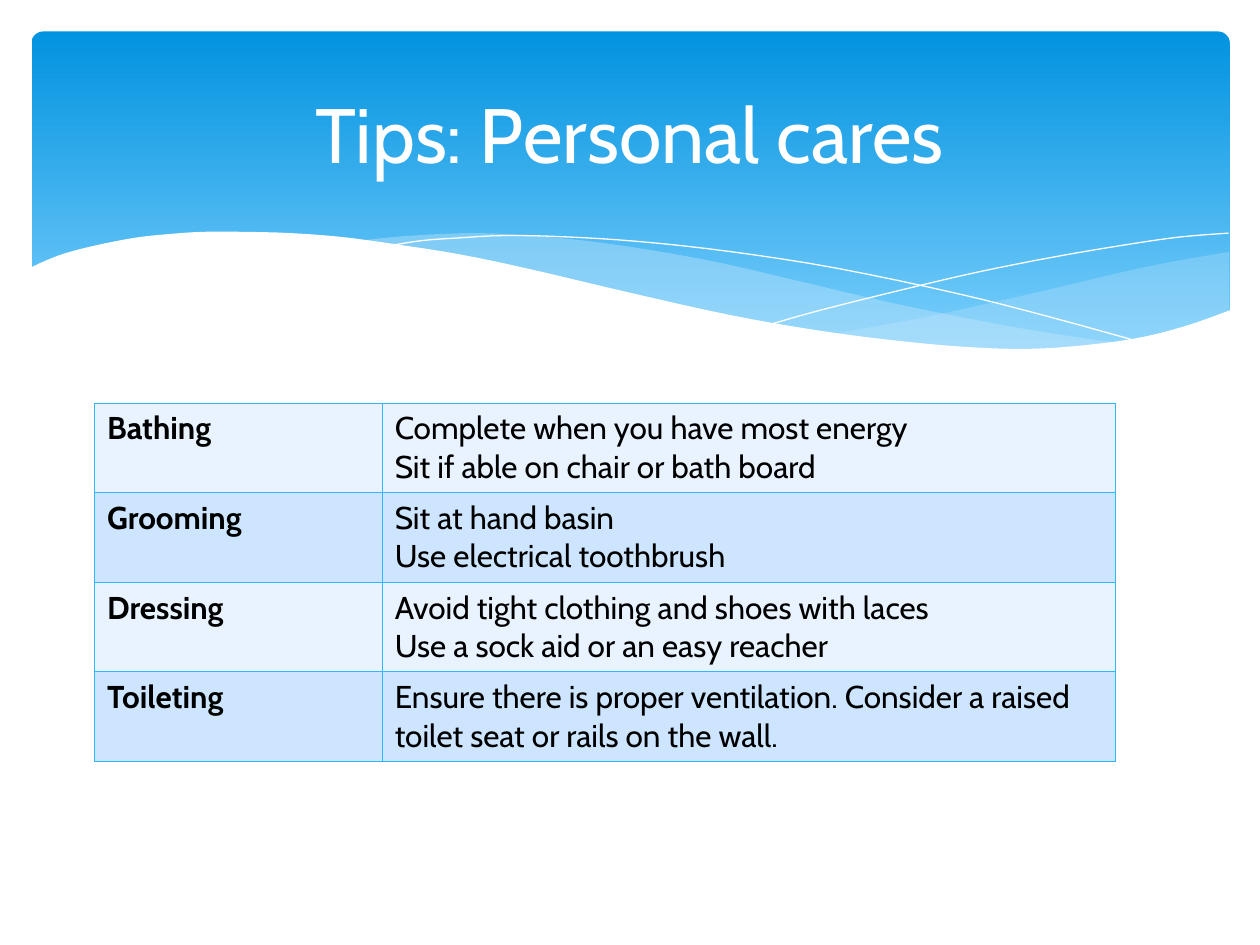
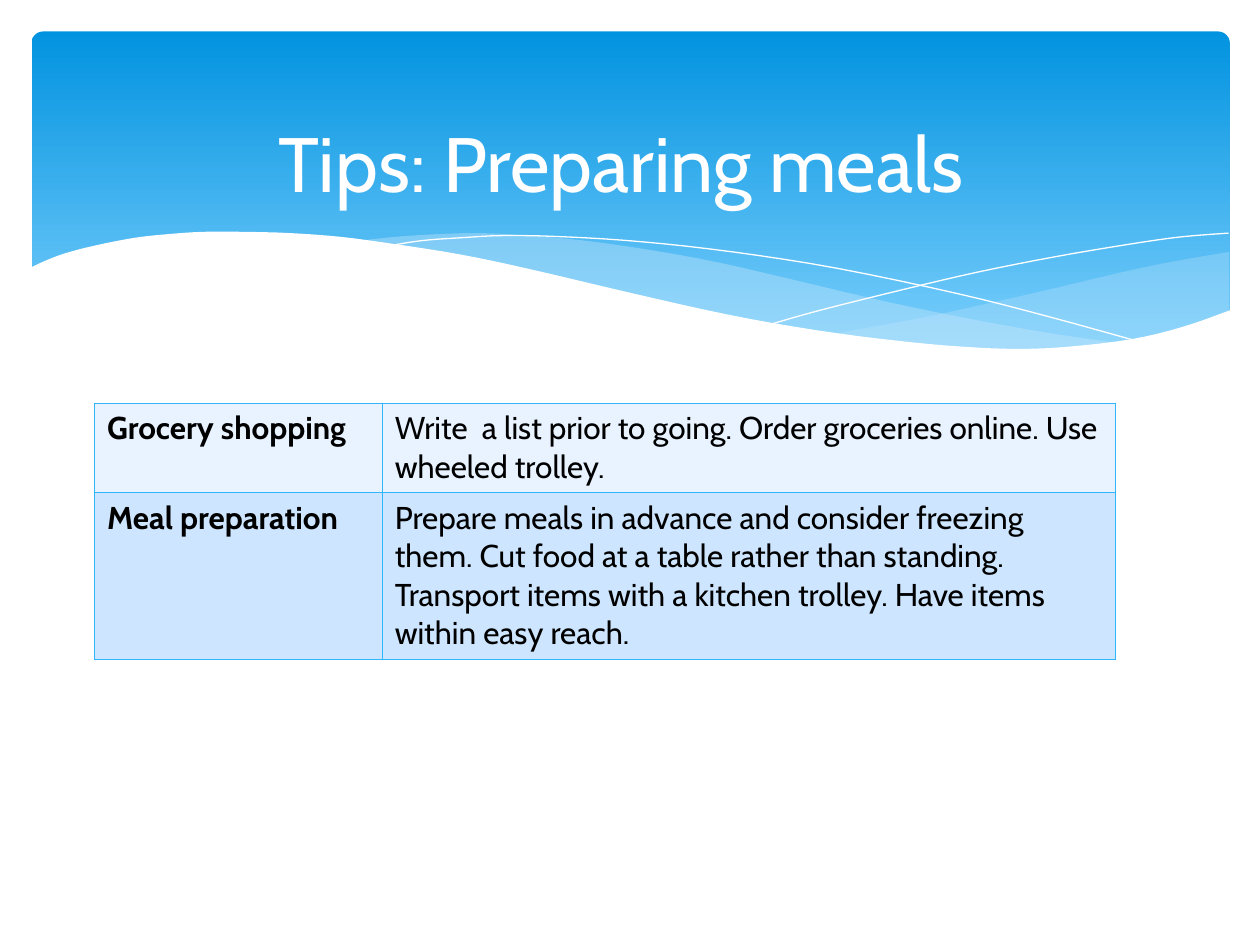
from itertools import chain

from lxml.etree import SubElement
from pptx import Presentation
from pptx.dml.color import RGBColor
from pptx.enum.shapes import MSO_SHAPE
from pptx.enum.text import MSO_ANCHOR, PP_ALIGN
from pptx.oxml.ns import qn
from pptx.util import Pt

WHITE = RGBColor(0xFF, 0xFF, 0xFF)
BLACK = RGBColor(0x00, 0x00, 0x00)
BAND_TOP = RGBColor(0x02, 0x93, 0xE0)
BAND_BOTTOM = RGBColor(0x83, 0xD3, 0xFE)
WAVE = RGBColor(0xC6, 0xE7, 0xFC)
BORDER = RGBColor(0x31, 0xB6, 0xFD)
ROW_FILLS = (RGBColor(0xE8, 0xF3, 0xFF), RGBColor(0xCD, 0xE5, 0xFE))
FONT = "Cabin"

RIGHT_WAVE_TOP = [
    (702.5, 144), (673, 149), (641.5, 155.5), (599, 165.6), (561, 174.2),
    (525, 182), (476, 190.8)]
RIGHT_WAVE_BOTTOM = [
    (476, 190.8), (497.5, 193.7), (527, 197.3), (553.7, 199.4), (586, 200),
    (615, 198.7), (645.8, 194.4), (673, 188.6), (702.5, 177.8)]
LEFT_WAVE_TOP = [
    (643, 196.6), (602.6, 190.8), (558, 182.9), (508.3, 172.8), (453, 159.8),
    (409.7, 149.8), (370, 142.6), (334, 137.5), (302.4, 134.6),
    (273.6, 133.2), (247.7, 133.9), (225.4, 135.4), (206, 137.5)]
LEFT_WAVE_BOTTOM = [
    (206, 137.5), (246.2, 143.3), (291, 152), (323.3, 159.8), (381.6, 172.8),
    (432.7, 183.6), (478.8, 191.5), (519.8, 197.3), (556.6, 200.2),
    (589, 200.9), (617, 199.4), (643, 196.6)]
FALLING_LINE = [
    (222.5, 140.4), (241.2, 137.5), (261.4, 136), (288.7, 134.6),
    (324, 135.4), (367.2, 138.2), (419, 144), (478.8, 153.4),
    (547.2, 167.8), (598.3, 180.7), (653, 195.8)]
RISING_LINE = [
    (441.4, 185), (469.4, 177.1), (518.4, 164.9), (558.7, 155.5),
    (602, 146.9), (644.4, 139.7), (674.6, 135.4), (702, 133.2)]
PAGE_EDGE = [
    (703.4, 177.1), (676.8, 186.5), (647.3, 193.7), (612, 198),
    (582.5, 199.4), (548, 198), (509.8, 194.4), (465.8, 188.6), (417, 180),
    (362.2, 167.8), (301, 153.4), (262.8, 145.4), (226.8, 139.7),
    (195, 135.4), (165.6, 133.2), (139, 132.5), (116, 132.5), (95, 133.9),
    (76.3, 136), (54, 140.4), (37.4, 144.7), (26, 149), (16.6, 153.4)]
PAGE_CORNERS = [(16.6, 236.9), (703.4, 236.9)]

PERSONAL_CARES = [
    ("Bathing", "Complete when you have most energy\n"
                "Sit if able on chair or bath board", 51.1),
    ("Grooming", "Sit at hand basin\nUse electrical toothbrush", 51.1),
    ("Dressing", "Avoid tight clothing and shoes with laces\n"
                 "Use a sock aid or an easy reacher", 51.1),
    ("Toileting", "Ensure there is proper ventilation. Consider a raised "
                  "toilet seat or rails on the wall.", 51.1),
]
PREPARING_MEALS = [
    ("Grocery shopping", "Write  a list prior to going. Order groceries "
                         "online. Use wheeled trolley.", 51.1),
    ("Meal preparation", "Prepare meals in advance and consider freezing "
                         "them. Cut food at a table rather than standing. "
                         "Transport items with a kitchen trolley. Have items "
                         "within easy reach.", 95.4),
]


def smooth(knots, steps=4):
    padded = [knots[0], *knots, knots[-1]]
    points = []
    for a, b, c, d in zip(padded, padded[1:], padded[2:], padded[3:]):
        for t in (i / steps for i in range(steps)):
            points.append(tuple(
                q + t / 2 * (r - p + t * (2 * p - 5 * q + 4 * r - s
                                          + t * (3 * (q - r) + s - p)))
                for p, q, r, s in zip(a, b, c, d)))
    return points + [knots[-1]]


def add_outline(slide, *edges, closed=True):
    points = [(Pt(x), Pt(y)) for x, y in chain(*edges)]
    builder = slide.shapes.build_freeform(*points[0])
    builder.add_line_segments(points[1:], close=closed)
    sp = builder.convert_to_shape()
    sp.shadow.inherit = False
    return sp


def add_area(slide, *edges, color, opacity=100):
    sp = add_outline(slide, *edges)
    sp.fill.solid()
    sp.fill.fore_color.rgb = color
    sp.line.fill.background()
    if opacity < 100:
        clr = sp._element.spPr.find(qn("a:solidFill")).find(qn("a:srgbClr"))
        SubElement(clr, qn("a:alpha"), val=str(opacity * 1000))


def add_hairline(slide, knots):
    sp = add_outline(slide, smooth(knots), closed=False)
    sp.fill.background()
    sp.line.color.rgb = WHITE
    sp.line.width = Pt(0)


def add_band(slide):
    sp = slide.shapes.add_shape(MSO_SHAPE.ROUNDED_RECTANGLE,
                                Pt(18), Pt(18), Pt(684.7), Pt(194.4))
    sp.adjustments[0] = 0.034
    sp.shadow.inherit = False
    sp.line.fill.background()
    sp.fill.gradient()
    sp.fill.gradient_angle = 270
    for stop, color, position in zip(sp.fill.gradient_stops,
                                     (BAND_TOP, BAND_BOTTOM), (0, 1)):
        stop.color.rgb = color
        stop.position = position
    add_area(slide, smooth(RIGHT_WAVE_TOP), smooth(RIGHT_WAVE_BOTTOM),
             color=WAVE, opacity=29)
    add_area(slide, smooth(LEFT_WAVE_TOP), smooth(LEFT_WAVE_BOTTOM),
             color=WAVE, opacity=40)
    add_hairline(slide, FALLING_LINE)
    add_hairline(slide, RISING_LINE)
    add_area(slide, smooth(PAGE_EDGE), PAGE_CORNERS, color=WHITE)


def format_runs(tf, size, color, bold=False):
    for r in chain.from_iterable(p.runs for p in tf.paragraphs):
        r.font.name = FONT
        r.font.size = Pt(size)
        r.font.bold = bold
        r.font.color.rgb = color


def set_title(slide, text, left, top):
    title = slide.shapes.title
    title.left, title.top = Pt(left), Pt(top)
    title.width, title.height = Pt(648), Pt(98.6)
    tf = title.text_frame
    tf.text = text
    tf.vertical_anchor = MSO_ANCHOR.MIDDLE
    tf.paragraphs[0].alignment = PP_ALIGN.CENTER
    format_runs(tf, 44, WHITE)
    slide.shapes._spTree.append(title._element)


def set_borders(cell):
    tcPr = cell._tc.get_or_add_tcPr()
    for side in ("a:lnL", "a:lnR", "a:lnT", "a:lnB"):
        ln = SubElement(tcPr, qn(side), w=str(Pt(0.45)))
        fill = SubElement(ln, qn("a:solidFill"))
        SubElement(fill, qn("a:srgbClr"), val=str(BORDER))


def add_tips_table(slide, tips):
    widths = (164.4, 419)
    height = sum(tip[2] for tip in tips)
    table = slide.shapes.add_table(len(tips), 2, Pt(54), Pt(230.4),
                                   Pt(sum(widths)), Pt(height)).table
    table.first_row = table.horz_banding = False
    for column, width in zip(table.columns, widths):
        column.width = Pt(width)
    for i, (activity, advice, row_height) in enumerate(tips):
        table.rows[i].height = Pt(row_height)
        for j, text in enumerate((activity, advice)):
            cell = table.cell(i, j)
            cell.text_frame.text = text
            format_runs(cell.text_frame, 18, BLACK, bold=j == 0)
            set_borders(cell)
            cell.fill.solid()
            cell.fill.fore_color.rgb = ROW_FILLS[i % 2]


def add_tips_slide(prs, title, left, top, tips):
    slide = prs.slides.add_slide(prs.slide_layouts[5])
    add_band(slide)
    add_tips_table(slide, tips)
    set_title(slide, title, left, top)


def main():
    prs = Presentation()
    prs.slide_width, prs.slide_height = Pt(720), Pt(540)
    add_tips_slide(prs, "Tips: Personal cares", 36, 26.6, PERSONAL_CARES)
    add_tips_slide(prs, "Tips: Preparing meals", 31, 43.2, PREPARING_MEALS)
    prs.save("out.pptx")


if __name__ == "__main__":
    main()
